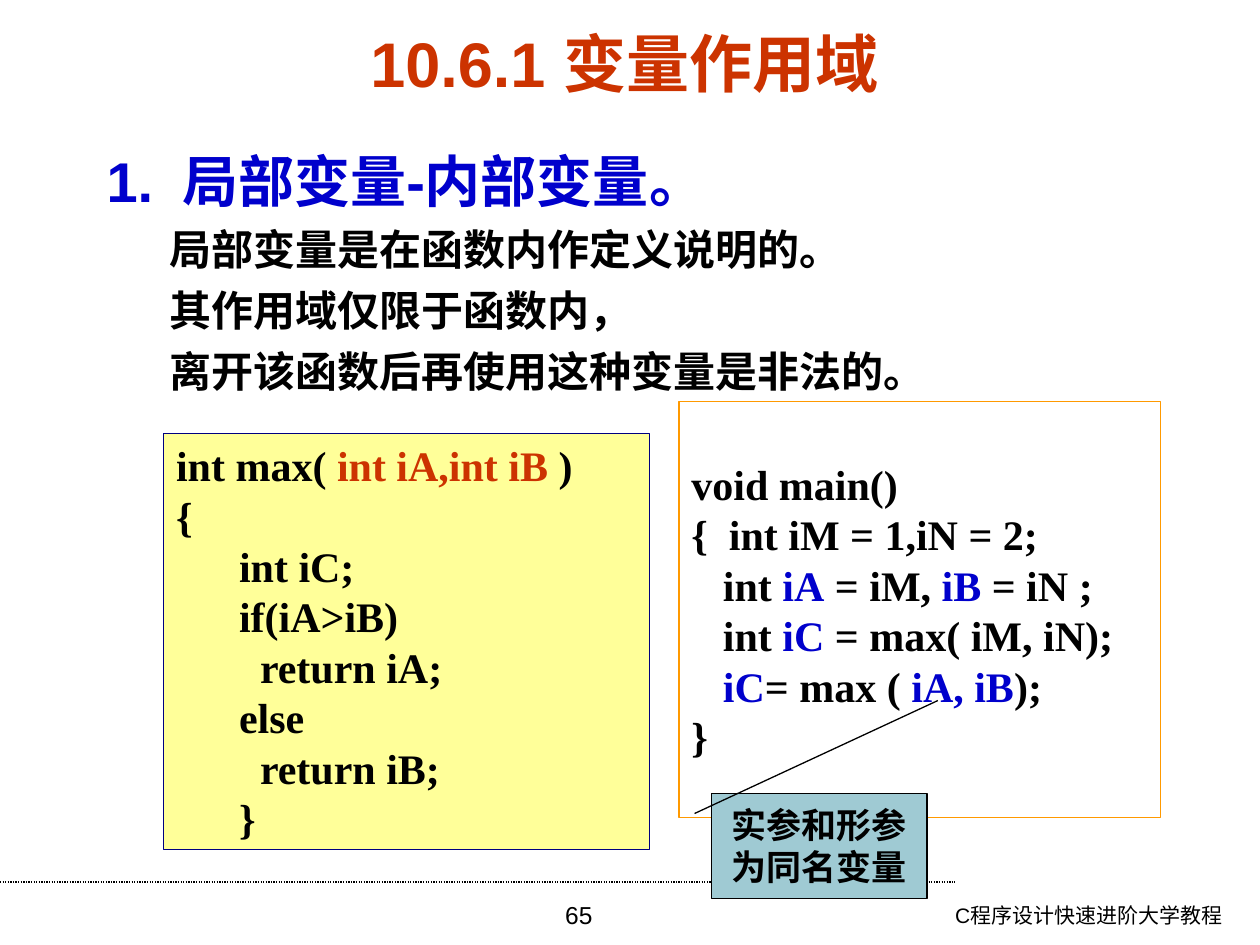
from dataclasses import dataclass

from lxml.etree import SubElement as Sub
from pptx import Presentation
from pptx.dml.color import RGBColor as Rgb
from pptx.enum.dml import MSO_LINE as Dash
from pptx.enum.shapes import MSO_CONNECTOR as Conn, MSO_SHAPE as Kind
from pptx.enum.text import MSO_ANCHOR as Anchor, PP_ALIGN as Align
from pptx.oxml.ns import qn
from pptx.util import Cm, Pt


@dataclass(frozen=True)
class Theme:
    ink: str = "000000"
    red: str = "CC3300"
    blue: str = "0000CC"
    navy: str = "000080"
    amber: str = "FF9900"
    cream: str = "FFFF99"
    teal: str = "9FCAD3"
    sans: str = "Arial"
    serif: str = "Times New Roman"
    han: str = "Noto Sans CJK SC"
    title: int = 36
    head: int = 32
    body: int = 24
    note: int = 20
    page: int = 14
    foot: int = 12
    lead: float = 1.2
    rule: float = 0.75


class Page:
    def __init__(self, deck, theme):
        self.theme = theme
        self.slide = deck.slides.add_slide(deck.slide_layouts[6])

    def para(self, frame, runs, size, face=None, color=None, bold=True,
             align=Align.LEFT, left=0, hang=0, gap=0, first=False):
        """Add a paragraph; a run is plain text or a (text, colour) pair."""
        t = self.theme
        par = frame.paragraphs[0] if first else frame.add_paragraph()
        par.alignment = align
        par.line_spacing = Pt(size * t.lead)
        par.space_before = Pt(gap)
        props = par._p.get_or_add_pPr()
        props.set("marL", str(Cm(left)))
        props.set("indent", str(Cm(hang)))
        font = par.font
        font.size, font.bold = Pt(size), bold
        font.color.rgb = Rgb.from_string(color or t.ink)
        font.name = face or t.sans
        Sub(props.find(qn("a:defRPr")), qn("a:ea"), typeface=t.han)
        for item in runs:
            text, tint = (item, None) if isinstance(item, str) else item
            run = par.add_run()
            run.text = text
            if tint:
                run.font.color.rgb = Rgb.from_string(tint)

    def text(self, x, y, w, h, anchor=Anchor.TOP):
        frame = self.slide.shapes.add_textbox(
            Cm(x), Cm(y), Cm(w), Cm(h)).text_frame
        frame.word_wrap = True
        frame.vertical_anchor = anchor
        return frame

    def shape(self, x, y, w, h, edge, fill=None, kind=Kind.RECTANGLE,
              adj=(), anchor=Anchor.TOP):
        box = self.slide.shapes.add_shape(kind, Cm(x), Cm(y), Cm(w), Cm(h))
        box.shadow.inherit = False
        for i, value in enumerate(adj):
            box.adjustments[i] = value
        if fill:
            box.fill.solid()
            box.fill.fore_color.rgb = Rgb.from_string(fill)
        else:
            box.fill.background()
        box.line.color.rgb = Rgb.from_string(edge)
        box.line.width = Pt(self.theme.rule)
        frame = box.text_frame
        frame.word_wrap = True
        frame.vertical_anchor = anchor
        return frame

    def code(self, frame, lines):
        """Fill a frame with (left indent, runs) lines of code."""
        t = self.theme
        for i, (left, runs) in enumerate(lines):
            self.para(frame, runs, t.body, t.serif, left=left, first=i == 0)

    def rule(self, x, y, end):
        line = self.slide.shapes.add_connector(
            Conn.STRAIGHT, Cm(x), Cm(y), Cm(end), Cm(y))
        line.line.color.rgb = Rgb.from_string(self.theme.ink)
        line.line.width = Pt(self.theme.rule)
        line.line.dash_style = Dash.ROUND_DOT
        Sub(line._element.spPr, qn("a:effectLst"))


def main():
    deck = Presentation()
    deck.slide_width, deck.slide_height = Cm(25.4), Cm(19.05)
    t = Theme()
    page = Page(deck, t)

    # Footer
    page.rule(0, 17.78, 19.25)
    page.para(page.text(16.69, 18.06, 8.2, 0.99), ["C程序设计快速进阶大学教程"],
              t.foot, bold=False, align=Align.RIGHT, first=True)
    page.para(page.text(8.71, 18.01, 5.92, 1.04), ["65"],
              t.page, bold=False, align=Align.CENTER, first=True)

    # Title
    page.para(page.text(1.09, 0.63, 22.99, 1.27, Anchor.MIDDLE),
              ["10.6.1 变量作用域"], t.title, color=t.red,
              align=Align.CENTER, first=True)

    # Heading and explanation
    body = page.text(1.9, 2.82, 22.17, 14.6)
    page.para(body, ["1.\t局部变量-内部变量。"], t.head, color=t.blue,
              left=1.52, hang=-1.52, first=True)
    for line in ("局部变量是在函数内作定义说明的。",
                 "其作用域仅限于函数内，",
                 "离开该函数后再使用这种变量是非法的。"):
        page.para(body, [line], t.body, t.han, left=2.74, hang=-1.47, gap=6)

    # Function with formal parameters
    step = 1.27
    page.code(page.shape(3.3, 8.74, 9.8, 8.38, t.navy, t.cream), [
        (0, ["int max( ", ("int iA,int iB", t.red), " )"]),
        (0, ["{"]),
        (step, ["int iC;"]),
        (step, ["if(iA>iB)"]),
        (step, ["  return iA;"]),
        (step, ["else"]),
        (step, ["  return iB;"]),
        (step, ["}"]),
    ])

    # Caller with actual arguments
    caller = page.shape(13.69, 8.1, 9.7, 8.38, t.amber, anchor=Anchor.MIDDLE)
    page.code(caller, [(0, runs) for runs in (
        ["void main()"],
        ["{  int iM = 1,iN = 2;"],
        ["   int ", ("iA", t.blue), " = iM, ", ("iB", t.blue), " = iN ;"],
        ["   int ", ("iC", t.blue), " = max( iM, iN);"],
        [("   iC", t.blue), "= max ( ", ("iA, iB", t.blue), ");"],
        ["}"],
    )])

    # Callout on the shared names
    note = page.shape(14.35, 16, 4.34, 2.11, t.ink, t.teal,
                      Kind.LINE_CALLOUT_1, (0.19, -0.08, -0.89, 1.05))
    note.margin_top = Cm(0.2)
    page.para(note, ["实参和形参为同名变量"], t.note,
              align=Align.CENTER, first=True)

    deck.save("out.pptx")


if __name__ == "__main__":
    main()
